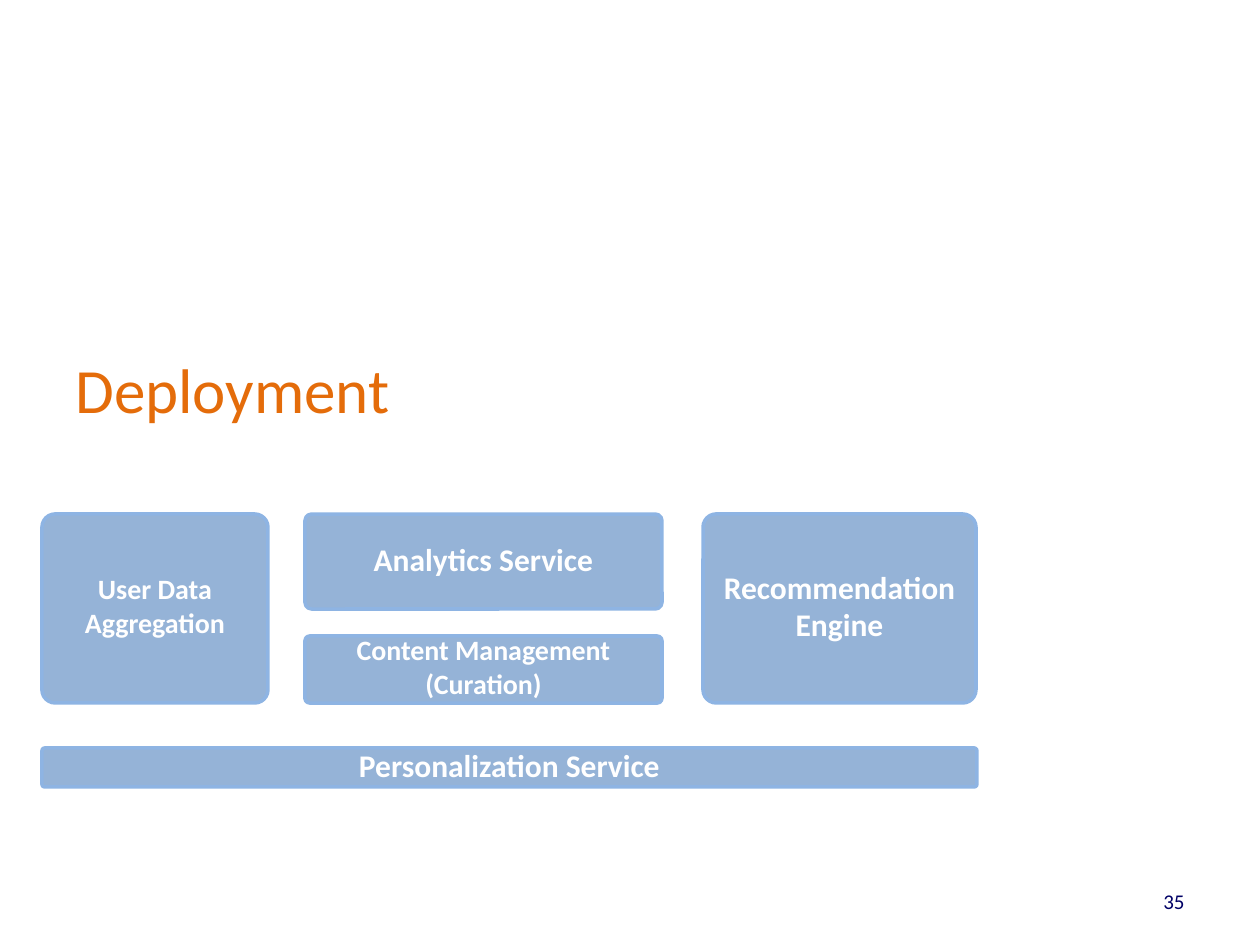
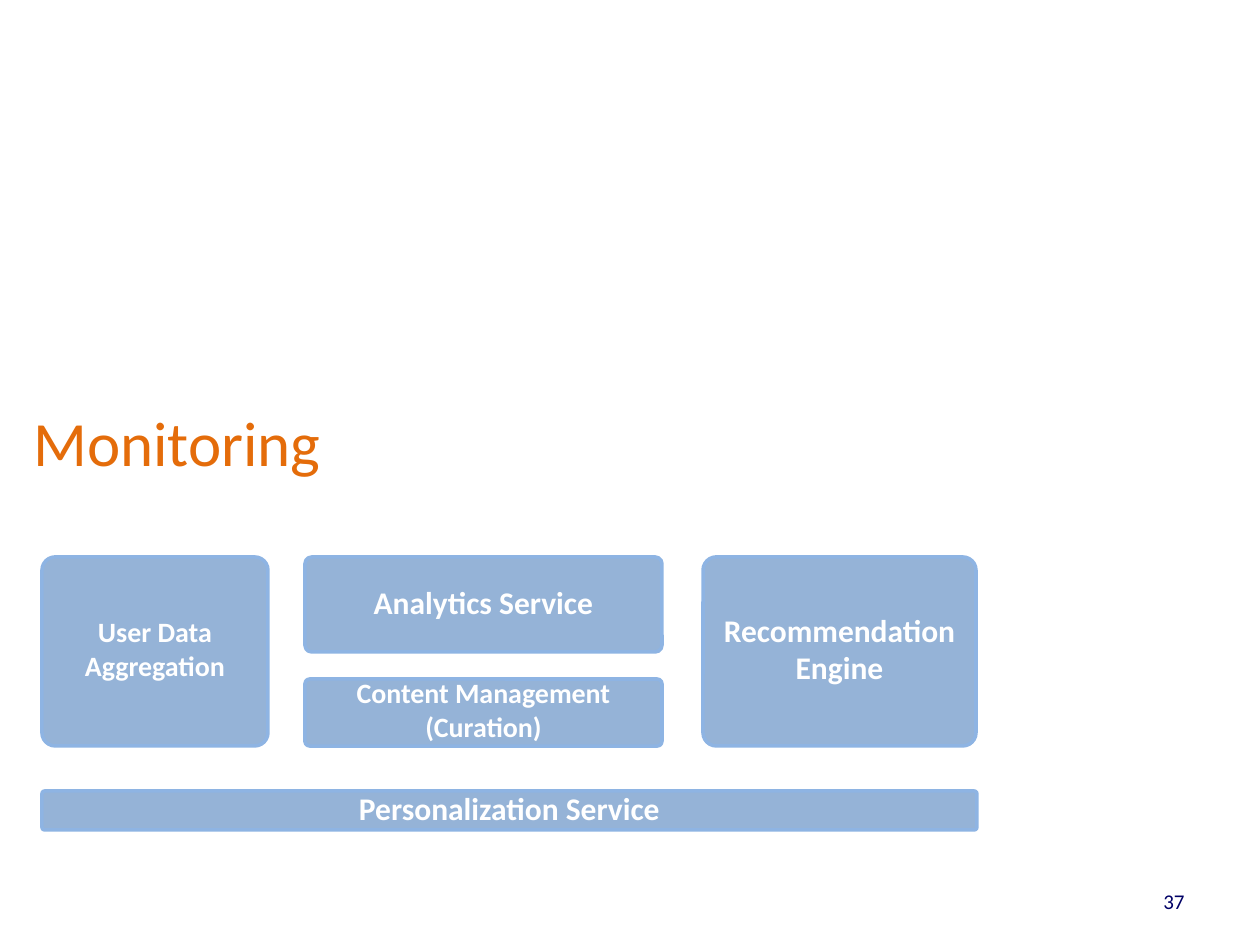
from pptx import Presentation
from pptx import util as u
from pptx.dml.color import RGBColor
from pptx.enum import shapes, text

PX = 914400 / 126
FONT = "Calibri"
ORANGE, NAVY, WHITE = "E46C0A", "000066", "FFFFFF"
BLOCK_FILL, BLOCK_LINE = "95B3D7", "8EB4E3"

# Service blocks: label, left, offset below the diagram top, width, height, size
services = [
    ("Personalization Service", 42, 234, 935, 39, 18),
    ("Recommendation Engine", 703, 0, 273, 189, 18),
    ("User Data Aggregation", 42, 0, 226, 189, 16),
    ("Analytics Service", 305, 0, 357, 95, 18),
    ("Content Management (Curation)", 305, 122, 357, 67, 16),
]

# Sections: title, title left, top and width, diagram top, page number
sections = [
    ("Deployment", 63, 315, 882, 514, "35"),
    ("Monitoring", 21, 368, 777, 557, "37"),
]


def px(*lengths):
    return [u.Emu(round(length * PX)) for length in lengths]


def write(frame, words, size, color, align, bold=False):
    frame.word_wrap = True
    frame.vertical_anchor = text.MSO_ANCHOR.MIDDLE
    paragraph = frame.paragraphs[0]
    paragraph.alignment = align
    run = paragraph.add_run()
    run.text = words
    run.font.name = FONT
    run.font.size = u.Pt(size)
    run.font.bold = bold
    run.font.color.rgb = RGBColor.from_string(color)


deck = Presentation()
deck.slide_width, deck.slide_height = px(1260, 945)

for title, title_left, title_top, title_width, diagram_top, page in sections:
    slide = deck.slides.add_slide(deck.slide_layouts[6])

    # Title and page number
    heading = slide.shapes.add_textbox(*px(title_left, title_top, title_width, 147))
    write(heading.text_frame, title, 36, ORANGE, text.PP_ALIGN.LEFT)
    number = slide.shapes.add_textbox(*px(903, 876, 294, 50))
    write(number.text_frame, page, 12, NAVY, text.PP_ALIGN.RIGHT)

    # Service diagram
    for label, left, offset, width, height, size in services:
        block = slide.shapes.add_shape(
            shapes.MSO_SHAPE.ROUNDED_RECTANGLE,
            *px(left, diagram_top + offset, width, height))
        block.adjustments[0] = 0.07
        block.shadow.inherit = False
        block.fill.solid()
        block.fill.fore_color.rgb = RGBColor.from_string(BLOCK_FILL)
        block.line.color.rgb = RGBColor.from_string(BLOCK_LINE)
        block.line.width = u.Pt(2)
        frame = block.text_frame
        (frame.margin_left, frame.margin_top,
         frame.margin_right, frame.margin_bottom) = px(13, 0, 13, 6)
        write(frame, label, size, WHITE, text.PP_ALIGN.CENTER, bold=True)

deck.save("out.pptx")
